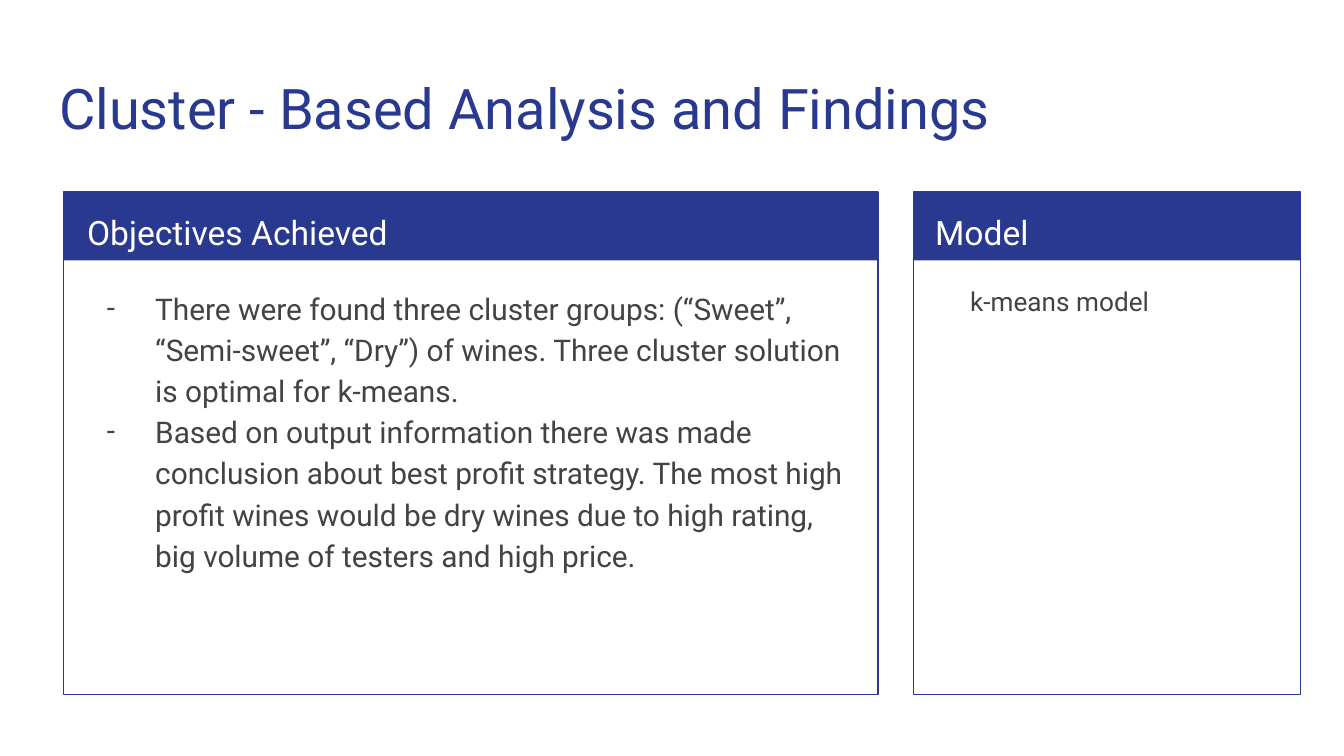
from lxml.etree import SubElement
from pptx import Presentation
from pptx.dml.color import RGBColor
from pptx.enum.shapes import MSO_SHAPE as Shape
from pptx.enum.text import MSO_ANCHOR as Anchor, MSO_AUTO_SIZE as AutoSize, PP_ALIGN as Align
from pptx.oxml.ns import qn
from pptx.util import Inches, Pt

NAVY, GREY, WHITE = "2A3990", "434343", "FFFFFF"

deck = Presentation()
deck.slide_width = Inches(10)
deck.slide_height = deck.slide_width * 9 // 16
page = deck.slides.add_slide(deck.slide_layouts[5])


def area(left, top, width, height):
    """Turn percentages of the slide's size into lengths."""
    wide, high = deck.slide_width / 100, deck.slide_height / 100
    return [round(n) for n in (left * wide, top * high, width * wide, height * high)]


def write(box, lines, size, colour, spacing=1.0, indent=None, bullet=None):
    """Fill a box; indent is (left margin, first line) in inches."""
    frame = box.text_frame
    frame.word_wrap = True
    frame.auto_size = AutoSize.NONE
    frame.vertical_anchor = Anchor.TOP
    frame.margin_left = frame.margin_right = Inches(0.1)
    frame.margin_top = frame.margin_bottom = Inches(0.1)
    for number, line in enumerate(lines):
        para = frame.add_paragraph() if number else frame.paragraphs[0]
        para.alignment = Align.LEFT
        para.line_spacing = spacing
        para.space_before = Pt(0)
        props = para._p.get_or_add_pPr()
        if indent:
            props.set("marL", str(Inches(indent[0])))
            props.set("indent", str(Inches(indent[1])))
        if bullet:
            tint = SubElement(props, qn("a:buClr"))
            SubElement(tint, qn("a:srgbClr"), val=colour)
            SubElement(props, qn("a:buFont"), typeface="Roboto")
            SubElement(props, qn("a:buChar"), char=bullet)
        span = para.add_run()
        span.text = line
        span.font.name = "Roboto"
        span.font.size = Pt(size)
        span.font.color.rgb = RGBColor.from_string(colour)


title = page.shapes.title
title.left, title.top, title.width, title.height = area(3.4, 8, 93.2, 11.73)
write(title, ["Cluster - Based Analysis and Findings"], 30, NAVY)

TOP, BAND, PANEL = 25.4, 9.05, 66.5
objectives = [
    "There were found three cluster groups: (“Sweet”, “Semi-sweet”, “Dry”) of wines. "
    "Three cluster solution is optimal for k-means.",
    "Based on output information there was made conclusion about best profit strategy. "
    "The most high profit wines would be dry wines due to high rating, "
    "big volume of testers and high price.",
]
# left, width, heading left and width, body left and width, heading, lines, style of lines
panels = [
    (4.73, 60.6, (5.5, 53.7), (5.57, 58.3), "Objectives Achieved", objectives,
     dict(size=16, spacing=1.15, indent=(0.5, -0.36), bullet="-")),
    (67.95, 28.8, (8.6 + 60, 27.3), (8.7 + 60, 27.1), "Model", ["k-means model"],
     dict(size=14, indent=(0.5, -0.25))),
]

for left, width, head_span, body_span, heading, lines, style in panels:
    band = page.shapes.add_shape(Shape.RECTANGLE, *area(left, TOP, width, BAND))
    band.shadow.inherit = False
    band.fill.solid()
    band.fill.fore_color.rgb = RGBColor.from_string(NAVY)
    band.line.fill.background()

    border = page.shapes.add_shape(Shape.RECTANGLE, *area(left, TOP, width, PANEL))
    border.shadow.inherit = False
    border.fill.background()
    border.line.color.rgb = RGBColor.from_string(NAVY)
    border.line.width = Pt(0.75)

    head = page.shapes.add_textbox(*area(head_span[0], TOP, head_span[1], 8.9))
    write(head, [heading], 18, WHITE, 1.15)
    body = page.shapes.add_textbox(*area(body_span[0], 35.95, body_span[1], 54.4))
    write(body, lines, colour=GREY, **style)

deck.save("out.pptx")
